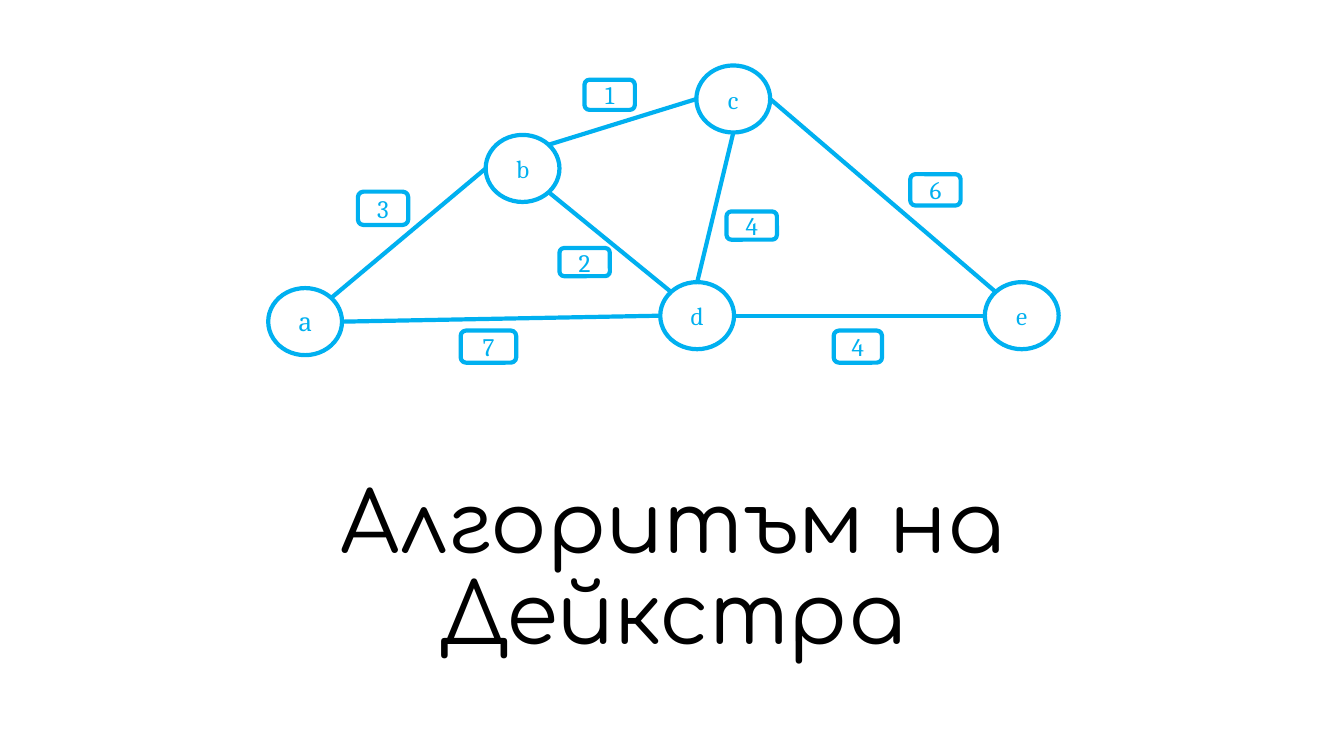
from dataclasses import dataclass
from math import cos, radians, sin

from lxml import etree
from pptx import Presentation
from pptx import util as u
from pptx.dml.color import RGBColor
from pptx.enum import shapes, text
from pptx.oxml.ns import qn

COLOURS = {"graph": "00B0F0", "title": "000000"}
NODE_WIDTH, NODE_HEIGHT = 1.86, 1.69
LINE_WIDTH = u.Pt(3)

# Directions from a node's centre, in degrees clockwise from the right
RIGHT, LOWER_RIGHT, BOTTOM, LEFT, UPPER_LEFT, TOP, UPPER_RIGHT = 0, 45, 90, 180, 225, 270, 315


@dataclass
class Node:
    name: str
    left: float
    top: float

    def rim_point(self, angle: float) -> tuple[u.Cm, u.Cm]:
        """Return the point of the ellipse outline in the given direction."""
        x = self.left + NODE_WIDTH / 2 * (1 + cos(radians(angle)))
        y = self.top + NODE_HEIGHT / 2 * (1 + sin(radians(angle)))
        return u.Cm(x), u.Cm(y)


@dataclass
class Edge:
    start: str
    start_angle: float
    end: str
    end_angle: float


@dataclass
class Weight:
    value: str
    left: float
    top: float
    width: float
    height: float


NODES = [
    Node("а", 6.76, 7.26),
    Node("b", 12.24, 3.4),
    Node("c", 17.55, 1.65),
    Node("d", 16.64, 7.11),
    Node("e", 24.82, 7.11),
]
EDGES = [
    Edge("а", UPPER_RIGHT, "b", LEFT),
    Edge("b", LOWER_RIGHT, "d", UPPER_LEFT),
    Edge("а", RIGHT, "d", LEFT),
    Edge("b", UPPER_RIGHT, "c", LEFT),
    Edge("d", TOP, "c", BOTTOM),
    Edge("c", RIGHT, "e", UPPER_LEFT),
    Edge("d", RIGHT, "e", LEFT),
]
WEIGHTS = [
    Weight("3", 9.02, 4.83, 1.27, 0.84),
    Weight("7", 11.61, 8.33, 1.4, 0.81),
    Weight("2", 14.1, 6.25, 1.27, 0.71),
    Weight("1", 14.73, 2.01, 1.27, 0.76),
    Weight("4", 18.31, 5.33, 1.27, 0.71),
    Weight("4", 21.01, 8.33, 1.22, 0.81),
    Weight("6", 22.94, 4.39, 1.27, 0.79),
]


def colour(name: str) -> RGBColor:
    return RGBColor.from_string(COLOURS[name])


def format_text(frame, anchor, inset: float, font_name: str, size: int, colour_name: str) -> None:
    frame.word_wrap = True
    frame.vertical_anchor = anchor
    frame.margin_left = frame.margin_right = u.Cm(inset)
    frame.margin_top = frame.margin_bottom = u.Cm(inset)
    paragraph = frame.paragraphs[0]
    paragraph.alignment = text.PP_ALIGN.CENTER
    font = paragraph.runs[0].font
    font.name, font.size = font_name, u.Pt(size)
    font.color.rgb = colour(colour_name)


def add_title(slide, caption: str) -> None:
    title = slide.shapes.title
    title.left, title.top = u.Cm(2.54), u.Cm(12.9)
    title.width, title.height = u.Cm(28.8), u.Cm(3.89)
    title.text_frame.text = caption
    title.text_frame.auto_size = text.MSO_AUTO_SIZE.NONE
    format_text(title.text_frame, text.MSO_ANCHOR.BOTTOM, 0.1, "Comfortaa", 60, "title")
    title.text_frame.paragraphs[0].line_spacing = 0.9


def add_outlined_shape(slide, kind, label: str, left: float, top: float,
                       width: float, height: float) -> None:
    shape = slide.shapes.add_shape(kind, u.Cm(left), u.Cm(top), u.Cm(width), u.Cm(height))
    shape.shadow.inherit = False
    shape.fill.background()
    shape.line.color.rgb = colour("graph")
    shape.line.width = LINE_WIDTH
    shape.text_frame.text = label
    format_text(shape.text_frame, text.MSO_ANCHOR.MIDDLE, 0.33, "Cambria", 18, "graph")


def add_edge(slide, edge: Edge, nodes: dict[str, Node]) -> None:
    start = nodes[edge.start].rim_point(edge.start_angle)
    end = nodes[edge.end].rim_point(edge.end_angle)
    connector = slide.shapes.add_connector(shapes.MSO_CONNECTOR.STRAIGHT, *start, *end)
    connector.line.color.rgb = colour("graph")
    connector.line.width = LINE_WIDTH
    etree.SubElement(connector._element.spPr, qn("a:effectLst"))


def main() -> None:
    presentation = Presentation()
    presentation.slide_width, presentation.slide_height = u.Cm(33.87), u.Cm(19.05)
    slide = presentation.slides.add_slide(presentation.slide_layouts.get_by_name("Title Only"))
    add_title(slide, "Алгоритъм на Дейкстра")
    for node in NODES:
        add_outlined_shape(slide, shapes.MSO_SHAPE.OVAL, node.name, node.left, node.top,
                           NODE_WIDTH, NODE_HEIGHT)
    nodes = {node.name: node for node in NODES}
    for edge in EDGES:
        add_edge(slide, edge, nodes)
    for weight in WEIGHTS:
        add_outlined_shape(slide, shapes.MSO_SHAPE.ROUNDED_RECTANGLE, weight.value, weight.left,
                           weight.top, weight.width, weight.height)
    presentation.save("out.pptx")


if __name__ == "__main__":
    main()
